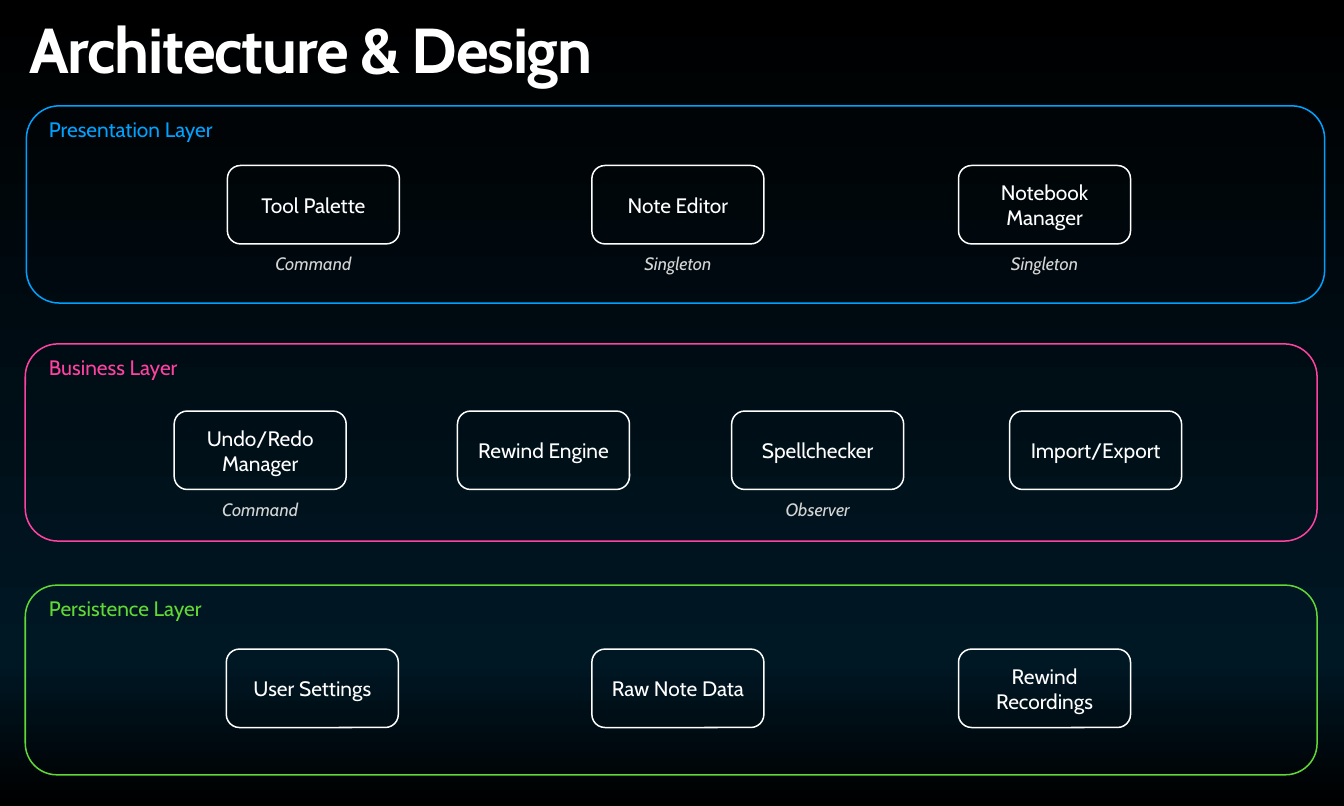
import copy

import pptx
import pptx.dml.color
import pptx.enum.shapes
import pptx.enum.text
import pptx.util

RGBColor = pptx.dml.color.RGBColor
PP_ALIGN = pptx.enum.text.PP_ALIGN
MSO_ANCHOR = pptx.enum.text.MSO_ANCHOR
Pt = pptx.util.Pt

BLACK = RGBColor(0x00, 0x00, 0x00)
NAVY = RGBColor(0x00, 0x17, 0x24)
WHITE = RGBColor(0xFF, 0xFF, 0xFF)
GREY = RGBColor(0xD5, 0xD5, 0xD5)
BLUE = RGBColor(0x00, 0xA2, 0xFF)
PINK = RGBColor(0xFF, 0x42, 0xA1)
GREEN = RGBColor(0x61, 0xD8, 0x36)

# The grid has 25 columns and 15 rows, each one inch.
CELL = pptx.util.Inches(1)
COLS, ROWS = 25, 15
BOX_W, BOX_H = 3.2, 1.46
LABEL_W, PATTERN_W, PATTERN_H = 2.8, 3, 0.52
LINE_H, INSET = 0.47, 0.06
LONGEST_ONE_LINE = 14

TITLE_FONT = {"name": "Cabin", "size": Pt(85), "bold": True}
LABEL_FONT = {"name": "Cabin", "size": Pt(28)}
PATTERN_FONT = {"name": "Cabin", "size": Pt(24), "italic": True}

# name, colour, (left, top, width, height), top of boxes,
# components as (left, name, design pattern)
LAYERS = [
    ("Presentation Layer", BLUE, (0.49, 1.97, 24.15, 3.67), 3.08, [
        (4.23, "Tool Palette", "Command"),
        (11.01, "Note Editor", "Singleton"),
        (17.83, "Notebook Manager", "Singleton"),
    ]),
    ("Business Layer", PINK, (0.47, 6.4, 24.03, 3.67), 7.65, [
        (3.24, "Undo/Redo Manager", "Command"),
        (8.51, "Rewind Engine", None),
        (13.61, "Spellchecker", "Observer"),
        (18.78, "Import/Export", None),
    ]),
    ("Persistence Layer", GREEN, (0.47, 10.89, 24.03, 3.53), 12.08, [
        (4.21, "User Settings", None),
        (11.01, "Raw Note Data", None),
        (17.83, "Rewind Recordings", None),
    ]),
]


def cells(*values):
    return [int(v * CELL) for v in values]


def set_all(obj, values):
    for name, value in values.items():
        setattr(obj, name, value)


def paint_background(s):
    fill = s.background.fill
    fill.gradient()
    fill.gradient_angle = 270
    last = next(s.element.iter(pptx.oxml.ns.qn("a:gsLst")))[-1]
    last.addnext(copy.deepcopy(last))
    stops = [(0, BLACK), (0.82, NAVY), (1, BLACK)]
    for stop, (position, color) in zip(fill.gradient_stops, stops):
        stop.position = position
        stop.color.rgb = color


def add_frame(s, area, color):
    """Add an unfilled rounded rectangle."""
    sp = s.shapes.add_shape(
        pptx.enum.shapes.MSO_SHAPE.ROUNDED_RECTANGLE, *cells(*area))
    sp.shadow.inherit = False
    sp.fill.background()
    sp.line.color.rgb = color
    sp.line.width = Pt(2)


def add_text(s, area, text, font, color, align=PP_ALIGN.LEFT,
             anchor=MSO_ANCHOR.MIDDLE):
    tf = s.shapes.add_textbox(*cells(*area)).text_frame
    set_all(tf, {"word_wrap": True, "vertical_anchor": anchor})
    sides = ("left", "top", "right", "bottom")
    set_all(tf, {f"margin_{side}": int(INSET * CELL) for side in sides})
    p = tf.paragraphs[0]
    p.alignment = align
    r = p.add_run()
    r.text = text
    set_all(r.font, font)
    r.font.color.rgb = color
    return p


def add_title(s, text):
    p = add_text(s, (0.49, 0.4, 24.03, 1.57), text, TITLE_FONT, WHITE,
                 anchor=MSO_ANCHOR.TOP)
    p.line_spacing = 0.8
    p.runs[0].font._element.set("spc", "-170")


def add_component(s, left, top, name, pattern):
    """Add a box with its name inside and its design pattern below."""
    add_frame(s, (left, top, BOX_W, BOX_H), WHITE)
    center, middle = left + BOX_W / 2, top + BOX_H / 2
    lines = 2 if len(name) > LONGEST_ONE_LINE else 1
    height = lines * LINE_H + 2 * INSET
    add_text(s, (center - LABEL_W / 2, middle - height / 2, LABEL_W, height),
             name, LABEL_FONT, WHITE, PP_ALIGN.CENTER)
    if pattern:
        add_text(s, (center - PATTERN_W / 2, top + BOX_H + 0.1,
                     PATTERN_W, PATTERN_H),
                 pattern, PATTERN_FONT, GREY, PP_ALIGN.CENTER)


def add_layer(s, name, color, area, box_top, components):
    add_frame(s, area, color)
    add_text(s, (0.85, area[1] + 0.14, 3.47, 0.58), name, LABEL_FONT, color)
    for left, component, pattern in components:
        add_component(s, left, box_top, component, pattern)


def main():
    prs = pptx.Presentation()
    prs.slide_width, prs.slide_height = cells(COLS, ROWS)
    s = prs.slides.add_slide(prs.slide_layouts[6])
    paint_background(s)
    add_title(s, "Architecture & Design")
    for layer in LAYERS:
        add_layer(s, *layer)
    prs.save("out.pptx")


if __name__ == "__main__":
    main()
